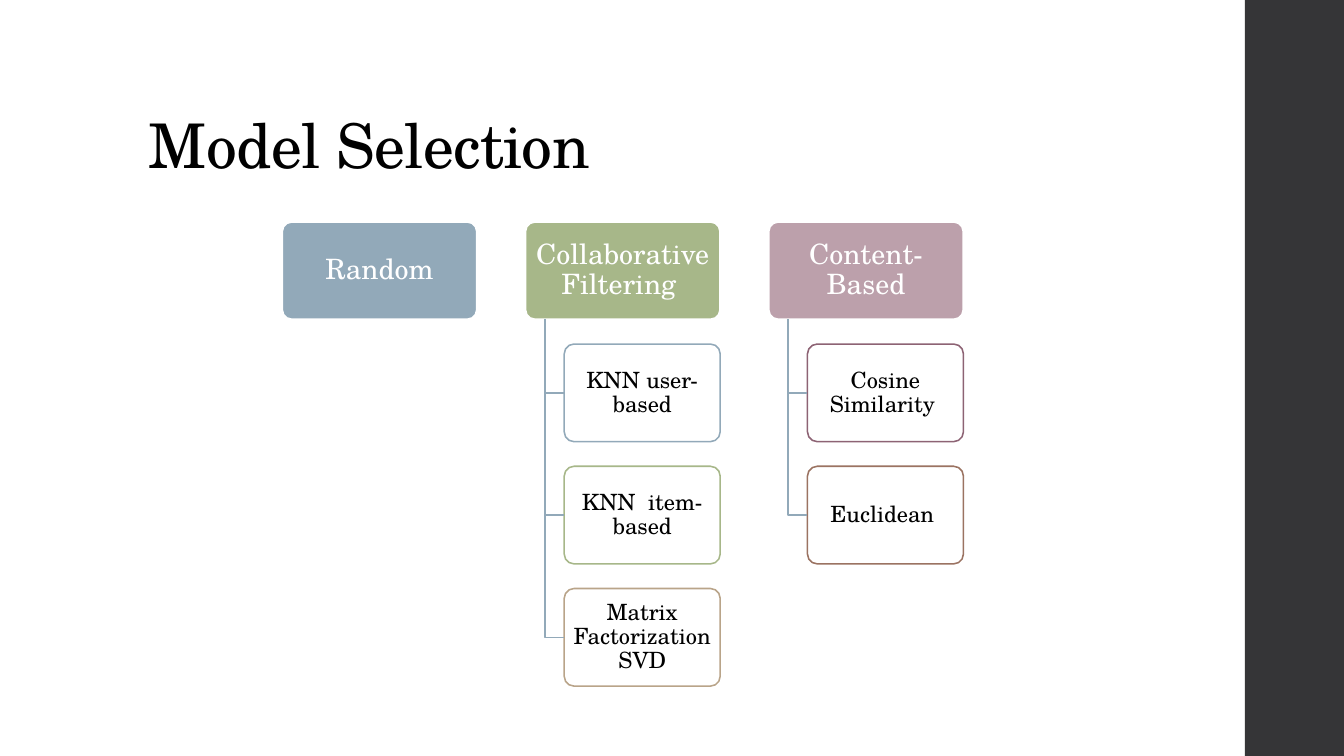
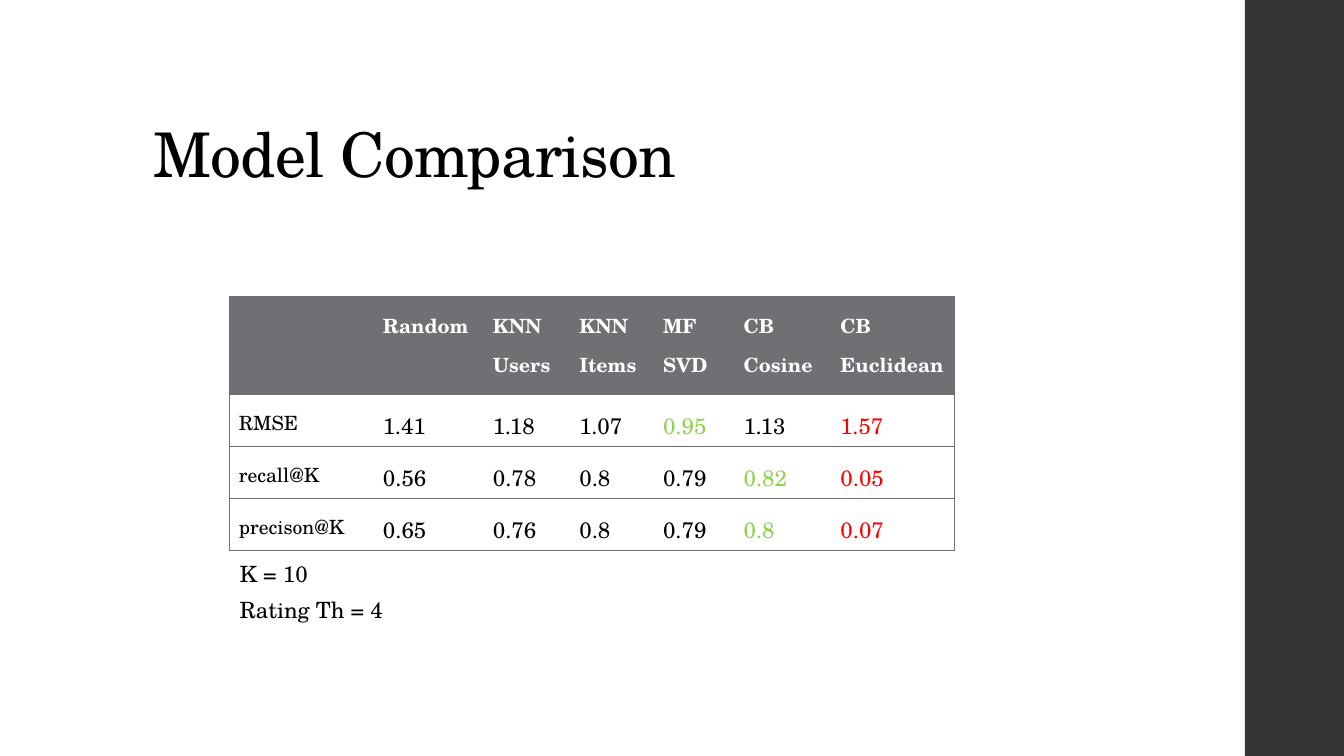
from dataclasses import dataclass
from typing import Optional

from lxml import etree
from pptx import Presentation
from pptx import util as u
from pptx.dml import color
from pptx.enum import shapes, text
from pptx.oxml import ns
from pptx.presentation import Presentation as Deck
from pptx.shapes.autoshape import Shape
from pptx.slide import Slide
from pptx.table import _Cell as Cell
from pptx.text.text import TextFrame

FONT = "TeX Gyre Schola"
COLOURS = {
    "white": "FFFFFF",
    "black": "000000",
    "band": "353537",
    "blue": "92A9B9",
    "green": "A7B789",
    "rose": "BCA0AB",
    "sand": "B9A489",
    "plum": "8D6374",
    "brown": "9B7362",
    "grey": "6F6F74",
    "best": "92D050",
    "worst": "FF0000",
}
SLIDE_WIDTH, SLIDE_HEIGHT = u.Cm(33.87), u.Cm(19.05)
TITLE_ONLY = 5

# Hierarchy on the first slide
TREE_LEFT, TREE_TOP = u.Cm(7.11), u.Cm(5.59)
FAMILY_PITCH, LEVEL_PITCH = u.Cm(6.13), u.Cm(3.08)
FAMILY_WIDTH, METHOD_WIDTH, BOX_HEIGHT = u.Cm(4.91), u.Cm(3.93), u.Cm(2.46)
TRUNK_INDENT, METHOD_INDENT = u.Cm(0.49), u.Cm(0.98)

# Table on the second slide
TABLE_LEFT, TABLE_TOP = u.Cm(5.79), u.Cm(7.47)
COLUMN_WIDTHS = [u.Cm(w) for w in (3.63, 2.77, 2.18, 2.11, 2.03, 2.44, 3.1)]
HEADER_HEIGHT, ROW_HEIGHT = u.Cm(2.47), u.Cm(1.25)


@dataclass(frozen=True)
class Method:
    name: str
    outline: str


@dataclass(frozen=True)
class Family:
    name: str
    fill: str
    methods: tuple[Method, ...] = ()


@dataclass(frozen=True)
class Metric:
    name: str
    scores: tuple[str, ...]
    best: int


FAMILIES = (
    Family("Random", "blue"),
    Family("Collaborative Filtering ", "green", (
        Method("KNN user-based", "blue"),
        Method("KNN  item-based", "green"),
        Method("Matrix Factorization SVD", "sand"),
    )),
    Family("Content-Based", "rose", (
        Method("Cosine Similarity ", "plum"),
        Method("Euclidean ", "brown"),
    )),
)
HEADERS = ("", "Random", "KNN Users", "KNN Items", "MF\nSVD", "CB\nCosine", "CB Euclidean")
METRICS = (
    Metric("RMSE", ("1.41", "1.18", "1.07", "0.95", "1.13", "1.57"), best=3),
    Metric("recall@K", ("0.56", "0.78", "0.8", "0.79", "0.82", "0.05"), best=4),
    Metric("precison@K", ("0.65", "0.76", "0.8", "0.79", "0.8", "0.07"), best=4),
)


def rgb(name: str) -> color.RGBColor:
    return color.RGBColor.from_string(COLOURS[name])


def write(frame: TextFrame, words: str, size: float, colour: str = "black",
          bold: bool = False, align: text.PP_ALIGN = text.PP_ALIGN.LEFT,
          spacing: float = 1.0, after: float = 0) -> None:
    """Fill a text frame, one paragraph a line, in a single style."""
    frame.text = words
    for para in frame.paragraphs:
        para.alignment = align
        para.line_spacing = spacing
        para.space_after = u.Pt(after)
        for span in para.runs:
            span.font.name = FONT
            span.font.size = u.Pt(size)
            span.font.bold = bold
            span.font.color.rgb = rgb(colour)


def add_master_band(deck: Deck, slide: Slide) -> None:
    """Draw the side band on a slide, then move it to the master."""
    left = u.Cm(31.37)
    band = slide.shapes.add_shape(
        shapes.MSO_SHAPE.RECTANGLE, left, 0, SLIDE_WIDTH - left, SLIDE_HEIGHT)
    band.shadow.inherit = False
    band.fill.solid()
    band.fill.fore_color.rgb = rgb("band")
    band.line.fill.background()
    band.element.xpath("p:nvSpPr/p:cNvPr")[0].set("id", "100")
    deck.slide_master.shapes.element.append(band.element)


def add_title(slide: Slide, words: str, left: u.Length, top: u.Length,
              width: u.Length, height: u.Length) -> None:
    title = slide.shapes.title
    title.left, title.top, title.width, title.height = left, top, width, height
    frame = title.text_frame
    frame.auto_size = text.MSO_AUTO_SIZE.NONE
    frame.vertical_anchor = text.MSO_ANCHOR.BOTTOM
    write(frame, words, 44, spacing=0.9)
    for span in frame.paragraphs[0].runs:
        span.font._element.set("spc", "-50")


def add_box(slide: Slide, words: str, left: int, top: int, width: int, fill: str,
            outline: str, line_width: float, size: float, colour: str,
            inset: u.Length) -> Shape:
    box = slide.shapes.add_shape(
        shapes.MSO_SHAPE.ROUNDED_RECTANGLE, left, top, width, BOX_HEIGHT)
    box.adjustments[0] = 0.1
    box.shadow.inherit = False
    box.fill.solid()
    box.fill.fore_color.rgb = rgb(fill)
    box.line.color.rgb = rgb(outline)
    box.line.width = u.Pt(line_width)
    frame = box.text_frame
    frame.word_wrap = True
    frame.vertical_anchor = text.MSO_ANCHOR.MIDDLE
    frame.margin_left = frame.margin_right = inset
    frame.margin_top = frame.margin_bottom = u.Cm(0.06)
    write(frame, words, size, colour, align=text.PP_ALIGN.CENTER, spacing=0.9)
    return box


def add_branch(slide: Slide, family: Shape, method: Shape) -> None:
    """Draw the angled line from a family box down to a method box."""
    trunk = family.left + TRUNK_INDENT
    middle = method.top + method.height // 2
    builder = slide.shapes.build_freeform(trunk, family.top + family.height)
    builder.add_line_segments([(trunk, middle), (method.left, middle)], close=False)
    branch = builder.convert_to_shape()
    branch.shadow.inherit = False
    branch.fill.background()
    branch.line.color.rgb = rgb("blue")
    branch.line.width = u.Pt(1.1)


def add_family(slide: Slide, family: Family, left: int) -> None:
    head = add_box(slide, family.name, left, TREE_TOP, FAMILY_WIDTH, family.fill,
                   "white", 1.35, 20, "white", u.Cm(0.1))
    for level, method in enumerate(family.methods, start=1):
        box = add_box(slide, method.name, left + METHOD_INDENT,
                      TREE_TOP + level * LEVEL_PITCH, METHOD_WIDTH, "white",
                      method.outline, 1.1, 16, "black", u.Cm(0.07))
        add_branch(slide, head, box)


def set_border(cell: Cell, side: str, colour: Optional[str]) -> None:
    """Set one cell side (L, R, T or B); no colour means no line."""
    line = etree.SubElement(cell._tc.get_or_add_tcPr(), ns.qn(f"a:ln{side}"))
    line.set("w", str(u.Pt(0.75)))
    if colour is None:
        etree.SubElement(line, ns.qn("a:noFill"))
    else:
        fill = etree.SubElement(line, ns.qn("a:solidFill"))
        etree.SubElement(fill, ns.qn("a:srgbClr")).set("val", COLOURS[colour])


def format_cell(cell: Cell, column: int, header: bool) -> None:
    cell.margin_left = cell.margin_right = u.Cm(0.23)
    cell.margin_top = cell.margin_bottom = u.Cm(0.12)
    set_border(cell, "L", "grey" if column == 0 else None)
    set_border(cell, "R", "grey" if column == len(HEADERS) - 1 else None)
    set_border(cell, "T", "grey")
    set_border(cell, "B", "grey")
    if header:
        cell.fill.solid()
        cell.fill.fore_color.rgb = rgb("grey")
    else:
        cell.fill.background()


def score_colour(metric: Metric, index: int) -> str:
    if index == metric.best:
        return "best"
    return "worst" if index == len(metric.scores) - 1 else "black"


def add_score_table(slide: Slide) -> None:
    table = slide.shapes.add_table(
        len(METRICS) + 1, len(HEADERS), TABLE_LEFT, TABLE_TOP, sum(COLUMN_WIDTHS),
        HEADER_HEIGHT + len(METRICS) * ROW_HEIGHT).table
    table.horz_banding = False
    for column, width in zip(table.columns, COLUMN_WIDTHS):
        column.width = width
    for number, row in enumerate(table.rows):
        row.height = ROW_HEIGHT if number else HEADER_HEIGHT
        for column, cell in enumerate(row.cells):
            format_cell(cell, column, header=number == 0)

    for column, words in enumerate(HEADERS):
        write(table.cell(0, column).text_frame, words, 14, "white", True, spacing=1.3)
    for number, metric in enumerate(METRICS, start=1):
        write(table.cell(number, 0).text_frame, metric.name, 14, spacing=1.3)
        for index, score in enumerate(metric.scores):
            write(table.cell(number, index + 1).text_frame, score, 16,
                  score_colour(metric, index), spacing=1.3)


def build_selection(slide: Slide) -> None:
    add_title(slide, "Model Selection", u.Cm(3.5), u.Cm(1.02), u.Cm(26.92), u.Cm(3.68))
    for index, family in enumerate(FAMILIES):
        add_family(slide, family, TREE_LEFT + index * FAMILY_PITCH)


def build_comparison(slide: Slide) -> None:
    add_title(slide, "Model Comparison", u.Cm(3.61), u.Cm(2.67), u.Cm(17.3), u.Cm(2.26))
    add_score_table(slide)
    settings = slide.shapes.add_textbox(TABLE_LEFT, u.Cm(14), u.Cm(5.89), u.Cm(2.24))
    settings.text_frame.word_wrap = True
    write(settings.text_frame, "K = 10\nRating Th = 4", 16, after=6)


def main() -> None:
    deck = Presentation()
    deck.slide_width, deck.slide_height = SLIDE_WIDTH, SLIDE_HEIGHT
    layout = deck.slide_layouts[TITLE_ONLY]
    selection, comparison = (deck.slides.add_slide(layout) for _ in range(2))
    add_master_band(deck, selection)
    build_selection(selection)
    build_comparison(comparison)
    deck.save("out.pptx")


if __name__ == "__main__":
    main()
